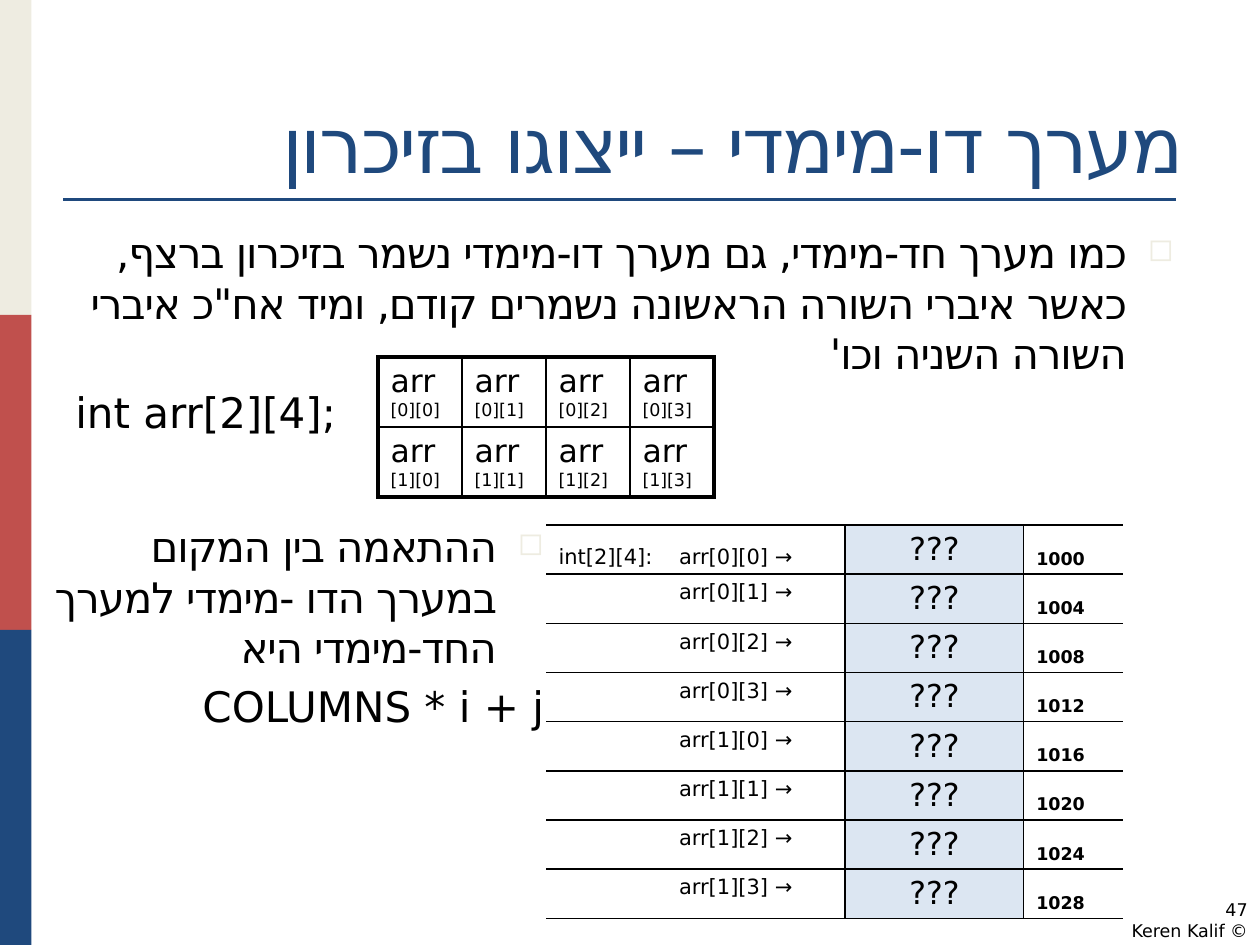
from lxml import etree
from pptx import Presentation
from pptx import util as u
from pptx.dml.color import RGBColor
from pptx.enum import shapes, text
from pptx.oxml.ns import qn

SANS = "DejaVu Sans"
NAVY, RED, CREAM, BLACK, PALE = "1F497D", "C0504D", "EEECE1", "000000", "DCE6F2"
BULLET = "◻"
HEBREW_TRACKING = -2.7


def colour(value):
    """Turn a hex string into a colour."""
    return RGBColor.from_string(value)


def add_element(parent, tag, **attributes):
    """Append a DrawingML element and return it."""
    return etree.SubElement(parent, qn(tag), attributes)


def add_span(para, words, size, font=SANS, shade=BLACK, bold=False):
    """Add a formatted run, setting Hebrew letters slightly tighter."""
    span = para.add_run()
    span.text = words
    for name, value in {"size": u.Pt(size), "name": font, "bold": bold}.items():
        setattr(span.font, name, value)
    span.font.color.rgb = colour(shade)
    add_element(span.font._element, "a:cs", typeface=SANS)
    if any("א" <= letter <= "ת" for letter in words):
        span.font._element.set("spc", str(round(size * HEBREW_TRACKING)))


def format_para(para, rtl=False, hanging=0, bullet=None, tab=None, before=0):
    """Set direction, indents, bullet, tab stop and spacing of a paragraph."""
    para.space_before = u.Pt(before)
    props = para._p.get_or_add_pPr()
    if rtl:
        props.set("rtl", "1")
        para.alignment = text.PP_ALIGN.RIGHT
    if hanging:
        props.set("marL", str(u.Pt(hanging)))
        props.set("indent", str(-u.Pt(hanging)))
    if bullet:
        tint = add_element(props, "a:buClr")
        add_element(tint, "a:srgbClr", val=CREAM)
        add_element(props, "a:buSzPct", val="75000")
        add_element(props, "a:buChar", char=bullet)
    if tab:
        stops = add_element(props, "a:tabLst")
        add_element(stops, "a:tab", pos=str(u.Pt(tab)), algn="l")


def add_text(page, area, lines, size):
    """Add a wrapping text box with one paragraph per line."""
    frame = page.shapes.add_textbox(*map(u.Pt, area)).text_frame
    frame.word_wrap = True
    for index, (words, layout) in enumerate(lines):
        para = frame.add_paragraph() if index else frame.paragraphs[0]
        format_para(para, **layout)
        add_span(para, words, size)


def add_title(page, words):
    """Place and format the title."""
    title = page.shapes.title
    area = {"left": 36, "top": 21.6, "width": 648, "height": 90}
    for name, value in area.items():
        setattr(title, name, u.Pt(value))
    frame = title.text_frame
    frame.vertical_anchor = text.MSO_ANCHOR.BOTTOM
    frame.auto_size = text.MSO_AUTO_SIZE.NONE
    format_para(frame.paragraphs[0], rtl=True)
    add_span(frame.paragraphs[0], words, 44, "Times New Roman", NAVY)


def add_frame(page):
    """Draw the side bands and the rule under the title."""
    for index, shade in enumerate((CREAM, RED, NAVY)):
        band = page.shapes.add_shape(
            shapes.MSO_SHAPE.RECTANGLE, 0, u.Pt(180 * index), u.Pt(18), u.Pt(180))
        band.shadow.inherit = False
        band.fill.solid()
        band.fill.fore_color.rgb = colour(shade)
        band.line.fill.background()
    rule = page.shapes.add_connector(
        shapes.MSO_CONNECTOR.STRAIGHT, *map(u.Pt, (36, 114, 672, 114)))
    rule.line.color.rgb = colour(NAVY)
    rule.line.width = u.Pt(1.5)
    add_element(rule._element.spPr, "a:effectLst")


def add_grid(page, left, top, widths, height, count):
    """Add an unstyled table with equal rows."""
    grid = page.shapes.add_table(
        count, len(widths), *map(u.Pt, (left, top, sum(widths), height * count))).table
    grid.first_row = grid.horz_banding = False
    for column, width in zip(grid.columns, widths):
        column.width = u.Pt(width)
    for row in grid.rows:
        row.height = u.Pt(height)
    return grid


def format_cell(cell, borders, fill=None, anchor=text.MSO_ANCHOR.TOP):
    """Set the fill, anchor and border widths (left, right, top, bottom) of a cell."""
    cell.vertical_anchor = anchor
    cell.margin_bottom = u.Pt(2.8)
    props = cell._tc.get_or_add_tcPr()
    for side, width in zip("LRTB", borders):
        edge = add_element(props, f"a:ln{side}", w=str(u.Pt(width)))
        if width:
            add_element(add_element(edge, "a:solidFill"), "a:srgbClr", val=BLACK)
        else:
            add_element(edge, "a:noFill")
    if fill:
        cell.fill.solid()
        cell.fill.fore_color.rgb = colour(fill)
    else:
        cell.fill.background()


def add_array(page, rows, columns):
    """Show the array as a grid with a thick outline."""
    grid = add_grid(page, 216, 204, [48] * columns, 39.8, rows)
    for i in range(rows):
        for j in range(columns):
            cell = grid.cell(i, j)
            edges = (j == 0, j == columns - 1, i == 0, i == rows - 1)
            format_cell(cell, [2.25 if outer else 1 for outer in edges])
            para = cell.text_frame.paragraphs[0]
            add_span(para, "arr ", 18)
            add_span(para, f"[{i}][{j}]", 10)


def add_memory(page, rows, columns):
    """Show the array elements in consecutive memory addresses."""
    grid = add_grid(page, 312, 300, (171, 102, 57), 28.1, rows * columns)
    bottom, top = text.MSO_ANCHOR.BOTTOM, text.MSO_ANCHOR.TOP
    for index in range(rows * columns):
        i, j = divmod(index, columns)
        label, value, address = (grid.cell(index, k) for k in range(3))
        format_cell(label, (0, 1, 1, 1), anchor=top if index else bottom)
        para = label.text_frame.paragraphs[0]
        format_para(para, tab=68.8)
        lead = "" if index else f"int[{rows}][{columns}]:"
        add_span(para, f"{lead}\tarr[{i}][{j}] →", 12)
        format_cell(value, (1, 1, 1, 1), PALE)
        para = value.text_frame.paragraphs[0]
        para.alignment = text.PP_ALIGN.CENTER
        add_span(para, "???", 18)
        format_cell(address, (1, 0, 1, 1), anchor=bottom)
        add_span(address.text_frame.paragraphs[0], str(1000 + 4 * index), 10, bold=True)


def main():
    """Build the slide and save the deck."""
    deck = Presentation()
    deck.slide_width, deck.slide_height = u.Pt(720), u.Pt(540)
    page = deck.slides.add_slide(deck.slide_layouts[5])
    add_frame(page)
    add_title(page, "מערך דו-מימדי – ייצוגו בזיכרון")
    point = {"rtl": True, "hanging": 27, "bullet": BULLET}
    add_text(page, (36, 126, 642, 356), [
        ("כמו מערך חד-מימדי, גם מערך דו-מימדי נשמר בזיכרון ברצף, כאשר איברי השורה "
         "הראשונה נשמרים קודם, ומיד אח\"כ איברי השורה השניה וכו'", point),
        ("int arr[2][4];", {"hanging": 27, "before": 4.8})], 24)
    add_array(page, 2, 4)
    add_text(page, (12, 294, 306, 210), [
        ("ההתאמה בין המקום במערך הדו -מימדי למערך החד-מימדי היא", point),
        ("COLUMNS * i + j", {"rtl": True, "hanging": 27, "before": 4.8})], 24)
    add_text(page, (552, 510, 168, 30), [
        ("47", {"rtl": True}), ("© Keren Kalif", {"rtl": True})], 10)
    add_memory(page, 2, 4)
    deck.save("out.pptx")


if __name__ == "__main__":
    main()
